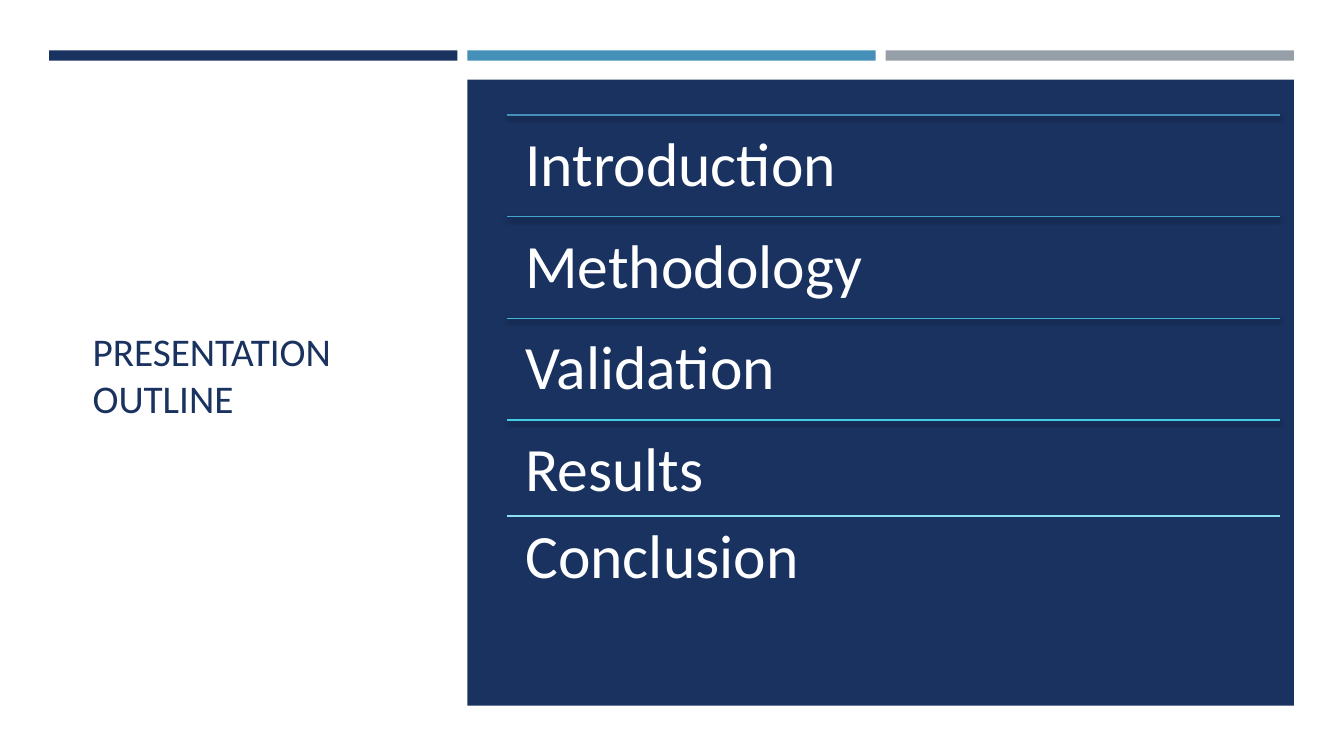
from dataclasses import dataclass
from lxml import etree
from pptx import Presentation
from pptx.dml.color import RGBColor
from pptx.enum.shapes import MSO_CONNECTOR, MSO_SHAPE
from pptx.enum.text import MSO_ANCHOR, MSO_AUTO_SIZE, PP_ALIGN
from pptx.oxml.ns import qn
from pptx.util import Cm, Pt

RECT = MSO_SHAPE.RECTANGLE
LINE = MSO_CONNECTOR.STRAIGHT
MIDDLE, TOP = MSO_ANCHOR.MIDDLE, MSO_ANCHOR.TOP
LEFT = PP_ALIGN.LEFT

# Content: each group sits under one rule
TITLE = "PRESENTATION OUTLINE"
GROUPS = [
    (["Introduction"], "4590B8"),
    (["Methodology"], "43A3CA"),
    (["Validation"], "43B7DA"),
    (["Results", "Conclusion"], "45CBE8"),
]


@dataclass(frozen=True)
class Theme:
    font: str = "Calibri"
    navy: str = "1A3260"
    blue: str = "4590B8"
    gray: str = "969FA7"
    white: str = "FFFFFF"
    pale: str = "8FE0F1"
    head: int = 28
    item: int = 44
    gap: int = 15


THEME = Theme()

# Layout in centimetres
BAR_X, BAR_Y, BAR_W, BAR_H, BAR_STEP = 1.24, 1.27, 10.29, 0.26, 10.54
PANEL = (BAR_X + BAR_STEP, 2.01, 20.83, 15.77)
ROW_X, ROW_Y, ROW_W, ROW_H = 12.78, 2.9, 19.48, 2.56
LAST_H, LAST_Y, INSET = 5.41, 13.0, 0.46


def rgb(code):
    return RGBColor.from_string(code)


def add_block(slide, box, color):
    block = slide.shapes.add_shape(RECT, *map(Cm, box))
    block.shadow.inherit = False
    block.fill.solid()
    block.fill.fore_color.rgb = rgb(color)
    block.line.fill.background()


def add_rule(slide, y, color, shade=True):
    rule = slide.shapes.add_connector(
        LINE, Cm(ROW_X), Cm(y), Cm(ROW_X + ROW_W), Cm(y))
    rule.line.color.rgb = rgb(color)
    rule.line.width = Pt(1)
    effects = etree.SubElement(rule._element.spPr, qn("a:effectLst"))
    if shade:
        cast = etree.SubElement(
            effects, qn("a:outerShdw"), blurRad=str(Pt(3)), dist=str(Pt(2)),
            dir="5400000", rotWithShape="0")
        tint = etree.SubElement(cast, qn("a:srgbClr"), val="000000")
        etree.SubElement(tint, qn("a:alpha"), val="55000")


def style(para, size, color):
    para.alignment = LEFT
    para.font.name = THEME.font
    para.font.size = Pt(size)
    para.font.color.rgb = rgb(color)


def add_items(slide, y, height, items):
    box = slide.shapes.add_textbox(Cm(ROW_X), Cm(y), Cm(ROW_W), Cm(height))
    frame = box.text_frame
    frame.word_wrap = True
    frame.vertical_anchor = TOP
    frame.margin_left = frame.margin_right = Cm(INSET)
    frame.margin_top = frame.margin_bottom = Cm(INSET)
    frame.text = "\n".join(items)
    for para in frame.paragraphs:
        para.line_spacing = 0.9
        para.space_after = Pt(THEME.gap)
        style(para, THEME.item, THEME.white)


def main():
    deck = Presentation()
    deck.slide_width, deck.slide_height = Cm(33.87), Cm(19.05)
    slide = deck.slides.add_slide(deck.slide_layouts[5])
    slide.background.fill.solid()
    slide.background.fill.fore_color.rgb = rgb(THEME.white)

    # Title
    title = slide.shapes.title
    title.left, title.top = Cm(2.08), Cm(2.9)
    title.width, title.height = Cm(8.48), Cm(13.08)
    frame = title.text_frame
    frame.text = TITLE
    frame.word_wrap = True
    frame.auto_size = MSO_AUTO_SIZE.NONE
    frame.vertical_anchor = MIDDLE
    style(frame.paragraphs[0], THEME.head, THEME.navy)

    # Top bars and panel
    for i, color in enumerate((THEME.navy, THEME.blue, THEME.gray)):
        add_block(slide, (BAR_X + i * BAR_STEP, BAR_Y, BAR_W, BAR_H), color)
    add_block(slide, PANEL, THEME.navy)

    # Outline rows
    for i, (items, color) in enumerate(GROUPS):
        y = ROW_Y + i * ROW_H
        add_rule(slide, y, color)
        add_items(slide, y, ROW_H if len(items) == 1 else LAST_H, items)
    add_rule(slide, LAST_Y, THEME.pale, shade=False)

    deck.save("out.pptx")


if __name__ == "__main__":
    main()
